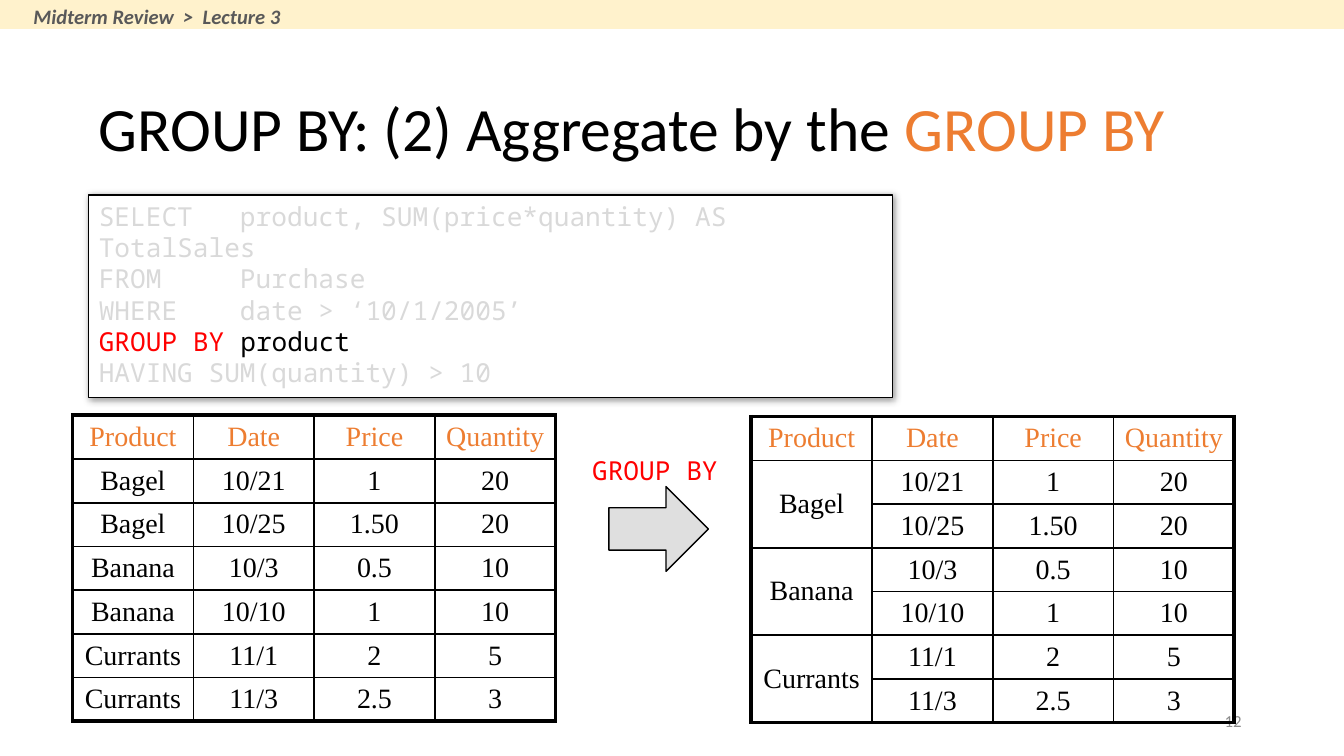
from lxml import etree
from pptx import Presentation
from pptx.dml.color import RGBColor
from pptx.enum import shapes, text
from pptx.oxml import ns
from pptx.util import Pt

COLORS = {
    "black": "000000", "white": "FFFFFF", "orange": "ED7D31", "red": "FF0000",
    "faded": "D9D9D9", "silver": "C0C0C0", "gray": "8C8C8C", "dark": "595959",
    "cream": "FFF2CC",
}
BODY, CODE, SERIF = "Calibri", "Noto Sans Mono", "Times New Roman"
LEFT, CENTER, RIGHT = text.PP_ALIGN.LEFT, text.PP_ALIGN.CENTER, text.PP_ALIGN.RIGHT
TOP, MIDDLE = text.MSO_ANCHOR.TOP, text.MSO_ANCHOR.MIDDLE
INSET_X, INSET_Y = Pt(5.4), Pt(2.7)
THIN, THICK = 1, 2.25

HEADER = ["Product", "Date", "Price", "Quantity"]
PURCHASES = [
    ["Bagel", "10/21", "1", "20"],
    ["Bagel", "10/25", "1.50", "20"],
    ["Banana", "10/3", "0.5", "10"],
    ["Banana", "10/10", "1", "10"],
    ["Currants", "11/1", "2", "5"],
    ["Currants", "11/3", "2.5", "3"],
]
QUERY = [
    [(f"{'SELECT':<9}product, SUM(price*quantity) AS TotalSales", "faded")],
    [(f"{'FROM':<9}Purchase", "faded")],
    [(f"{'WHERE':<9}date > ‘10/1/2005’", "faded")],
    [("GROUP BY ", "red"), ("product", "black")],
    [("HAVING SUM(quantity) > 10", "faded")],
]


def rgb(name):
    return RGBColor.from_string(COLORS[name])


def points(*lengths):
    return [Pt(length) for length in lengths]


def add_xml(parent, tag, **attributes):
    return etree.SubElement(parent, ns.qn(tag), attributes)


def write(frame, lines, font=BODY, size=14, align=LEFT, anchor=TOP, wrap=True,
          bold=False, italic=False, spacing=None):
    """Fill a text frame; each line is a list of (words, colour) spans."""
    frame.word_wrap = wrap
    frame.vertical_anchor = anchor
    for index, line in enumerate(lines):
        para = frame.add_paragraph() if index else frame.paragraphs[0]
        para.alignment = align
        para.line_spacing = spacing
        for words, color in line:
            span = para.add_run()
            span.text = words
            span.font.name, span.font.size = font, Pt(size)
            span.font.bold, span.font.italic = bold, italic
            span.font.color.rgb = rgb(color)


def set_insets(holder):
    holder.margin_left = holder.margin_right = INSET_X
    holder.margin_top = holder.margin_bottom = INSET_Y


def add_label(page, area, lines, **style):
    box = page.shapes.add_textbox(*points(*area))
    set_insets(box.text_frame)
    write(box.text_frame, lines, **style)


def add_box(parent, kind, area, fill, line=None):
    box = parent.shapes.add_shape(kind, *points(*area))
    box.shadow.inherit = False
    box.fill.solid()
    box.fill.fore_color.rgb = rgb(fill)
    if line:
        box.line.color.rgb = rgb(line)
        box.line.width = Pt(0.75)
    else:
        box.line.fill.background()
    return box


def add_title(page, area):
    title = page.shapes.title
    title.left, title.top, title.width, title.height = points(*area)
    set_insets(title.text_frame)
    write(title.text_frame,
          [[("GROUP BY: (2) Aggregate by the ", "black"), ("GROUP BY", "orange")]],
          size=33, anchor=MIDDLE, spacing=0.9)


def add_query(page, area):
    box = add_box(page, shapes.MSO_SHAPE.RECTANGLE, area, "white", "black")
    set_insets(box.text_frame)
    write(box.text_frame, QUERY, font=CODE)
    # Soft shadow towards the lower right
    effects = box._element.spPr.find(ns.qn("a:effectLst"))
    shadow = add_xml(effects, "a:outerShdw", blurRad=str(Pt(4)), dist=str(Pt(1)),
                     dir="2700000", algn="tl", rotWithShape="0")
    color = add_xml(shadow, "a:srgbClr", val=COLORS["black"])
    add_xml(color, "a:alpha", val="40000")


def add_step(page, area):
    """Red keyword with a half-transparent arrow below it."""
    left, top, width, height = area
    arrow = add_box(page, shapes.MSO_SHAPE.RIGHT_ARROW,
                    (left + 14.4, top + 20.2, 53.3, height - 20.2), "silver", "black")
    color = arrow._element.spPr.find(ns.qn("a:solidFill"))[0]
    add_xml(color, "a:alpha", val="50000")
    add_label(page, (left, top, width, 23), [[("GROUP BY", "red")]],
              font=CODE, wrap=False)


def set_borders(cell, widths):
    properties = cell._tc.get_or_add_tcPr()
    for index, (side, width) in enumerate(widths.items()):
        line = etree.Element(ns.qn(f"a:ln{side}"), w=str(Pt(width)))
        fill = add_xml(line, "a:solidFill")
        add_xml(fill, "a:srgbClr", val=COLORS["black"])
        properties.insert(index, line)


def add_purchases(page, area, grouped=False):
    """Purchase table; grouped joins the product cells two by two."""
    rows = [HEADER] + PURCHASES
    last_row, last_column = len(rows) - 1, len(HEADER) - 1
    table = page.shapes.add_table(len(rows), len(HEADER), *points(*area)).table
    table.first_row = table.horz_banding = False
    for column in table.columns:
        column.width = Pt(area[2] / len(HEADER))
    for row in table.rows:
        row.height = Pt(area[3] / len(rows))
    if grouped:
        for top in range(1, len(rows), 2):
            table.cell(top, 0).merge(table.cell(top + 1, 0))
    for r, values in enumerate(rows):
        for c, value in enumerate(values):
            cell = table.cell(r, c)
            bottom = r + (cell.span_height if cell.is_merge_origin else 1) - 1
            cell.fill.background()
            set_borders(cell, {
                "L": THICK if c == 0 else THIN,
                "R": THICK if c == last_column else THIN,
                "T": THICK if r == 0 else THIN,
                "B": THICK if bottom == last_row else THIN,
            })
            if cell.is_spanned:
                continue
            set_insets(cell)
            cell.vertical_anchor = MIDDLE
            write(cell.text_frame, [[(value, "black" if r else "orange")]],
                  font=SERIF, size=15, align=CENTER)


def add_banner(page, area):
    left, top, width, height = area
    group = page.shapes.add_group_shape()
    add_box(group, shapes.MSO_SHAPE.RECTANGLE, area, "cream")
    box = group.shapes.add_textbox(*points(left + 10.8, top - 1.4, 149, 20.9))
    write(box.text_frame, [[("Midterm Review  >  Lecture 3", "dark")]],
          size=11, wrap=False, bold=True, italic=True)


def main():
    deck = Presentation()
    deck.slide_width, deck.slide_height = points(720, 405)
    page = deck.slides.add_slide(deck.slide_layouts[5])

    # Page number and title
    add_label(page, (508.5, 375.4, 162, 21.6), [[("12", "gray")]],
              size=9, align=RIGHT, anchor=MIDDLE)
    add_title(page, (47.5, 36.7, 593.3, 67.7))

    # Query, then the purchases before and after grouping
    add_step(page, (311.8, 240.5, 80, 65.6))
    add_query(page, (47.5, 104.4, 430.6, 108.7))
    add_purchases(page, (38.9, 222.5, 258.8, 163.8))
    add_purchases(page, (402.5, 223.2, 258.8, 163.8), grouped=True)

    # Lecture banner
    add_banner(page, (0, 0, 720, 15.6))
    deck.save("out.pptx")


if __name__ == "__main__":
    main()
